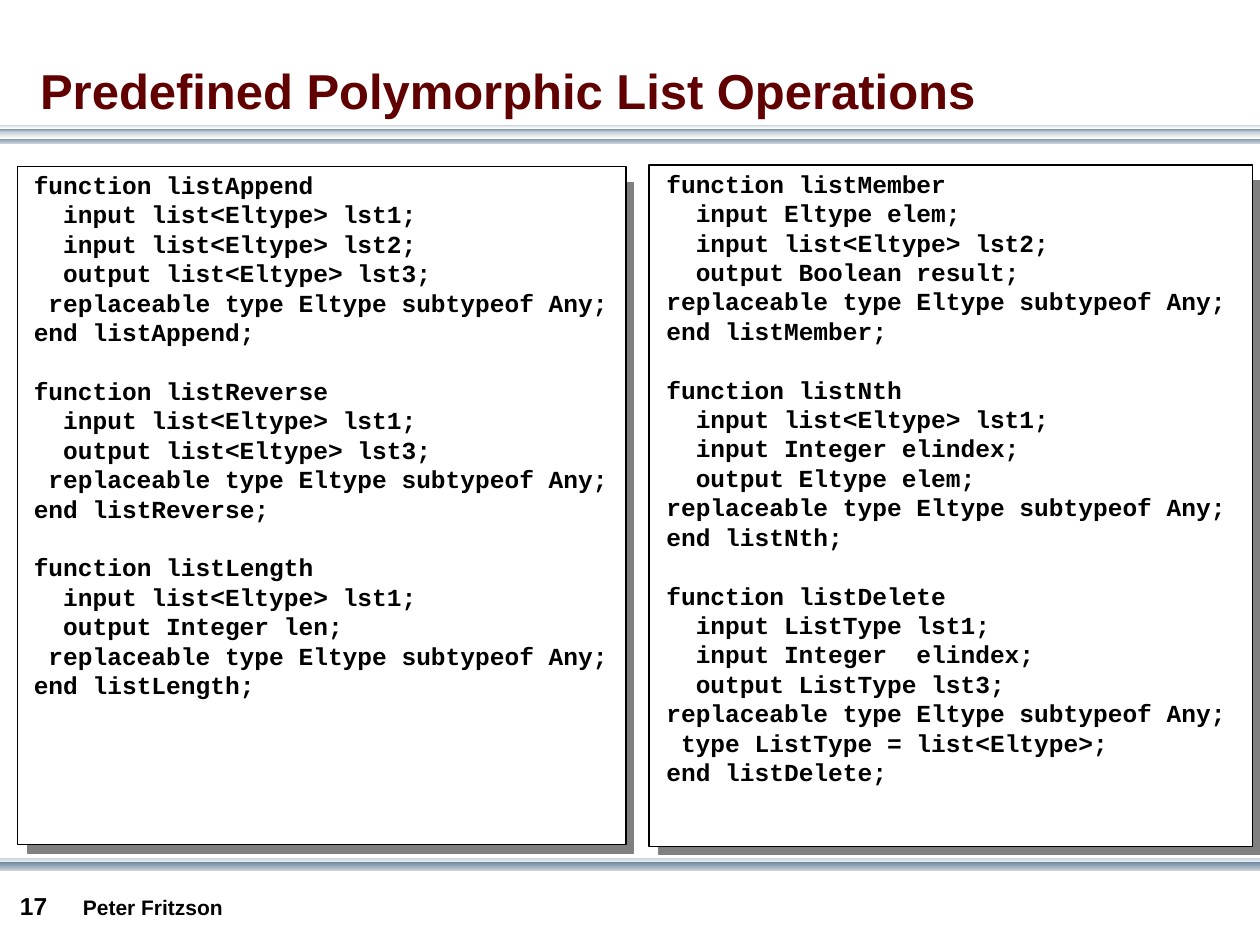
from pptx import Presentation
from pptx.dml.color import RGBColor
from pptx.enum.shapes import MSO_SHAPE
from pptx.enum.text import MSO_ANCHOR
from pptx.util import Inches, Pt

COLORS = {
    "black": "000000",
    "white": "FFFFFF",
    "maroon": "600000",
    "gray": "808080",
    "steel": "6A839C",
    "mist": "C8D1DA",
}
LINE_PITCH = 16.8
CHARACTER_WIDTH = 8.4

deck = Presentation()
deck.slide_width = Inches(10)
deck.slide_height = Inches(7.5)
page = deck.slides.add_slide(deck.slide_layouts[6])


def add_text(text, left, top, width, height, size=14, font="Arial", color="black",
             anchor=MSO_ANCHOR.TOP, wrap=True, code=False):
    box = page.shapes.add_textbox(Inches(left), Inches(top), Inches(width), Inches(height))
    frame = box.text_frame
    frame.word_wrap = wrap
    frame.vertical_anchor = anchor
    for number, line in enumerate(text.split("\n")):
        para = frame.add_paragraph() if number else frame.paragraphs[0]
        content = line.lstrip()
        if code:
            para.line_spacing = Pt(LINE_PITCH)
            indent = len(line) - len(content)
            properties = para._p.get_or_add_pPr()
            properties.set("marL", "0")
            properties.set("indent", str(Pt(indent * CHARACTER_WIDTH)))
            if number and content.startswith("function"):
                para.space_before = Pt(LINE_PITCH)
        span = para.add_run()
        span.text = content
        span.font.name = font
        span.font.size = Pt(size)
        span.font.bold = True
        span.font.color.rgb = RGBColor.from_string(COLORS[color])


def add_rectangle(left, top, width, height):
    box = page.shapes.add_shape(MSO_SHAPE.RECTANGLE, Inches(left), Inches(top),
                                Inches(width), Inches(height))
    box.shadow.inherit = False
    return box


bands = [
    (1.09, 0.05, "steel", "mist"),
    (1.02, 0.03, "steel", "mist"),
    (1.05, 0.05, "mist", "white"),
    (0.99, 0.03, "mist", "white"),
    (6.81, 0.05, "mist", "white"),
    (6.84, 0.07, "steel", "mist"),
]
for top, height, start, end in bands:
    band = add_rectangle(0, top, 10, height)
    band.line.fill.background()
    band.fill.gradient()
    band.fill.gradient_angle = 270
    for stop, position, color in zip(band.fill.gradient_stops, (0, 1), (start, end)):
        stop.position = position
        stop.color.rgb = RGBColor.from_string(COLORS[color])

add_text("Peter Fritzson", 0.56, 7.05, 1.36, 0.3, size=12, wrap=False)
add_text("17", 0.06, 7.02, 0.55, 0.34)
add_text("Predefined Polymorphic List Operations", 0.22, 0.43, 9.78, 0.57,
         size=28, color="maroon", anchor=MSO_ANCHOR.MIDDLE)

left_code = """function listAppend
  input list<Eltype> lst1;
  input list<Eltype> lst2;
  output list<Eltype> lst3;
 replaceable type Eltype subtypeof Any;
end listAppend;
function listReverse
  input list<Eltype> lst1;
  output list<Eltype> lst3;
 replaceable type Eltype subtypeof Any;
end listReverse;
function listLength
  input list<Eltype> lst1;
  output Integer len;
 replaceable type Eltype subtypeof Any;
end listLength;"""

right_code = """function listMember
  input Eltype elem;
  input list<Eltype> lst2;
  output Boolean result;
replaceable type Eltype subtypeof Any;
end listMember;
function listNth
  input list<Eltype> lst1;
  input Integer elindex;
  output Eltype elem;
replaceable type Eltype subtypeof Any;
end listNth;
function listDelete
  input ListType lst1;
  input Integer  elindex;
  output ListType lst3;
replaceable type Eltype subtypeof Any;
 type ListType = list<Eltype>;
end listDelete;"""

panels = [
    (left_code, (0.22, 1.45, 4.81, 5.32), (0.14, 1.32, 4.83, 5.38), (0.17, 1.3, 4.76, 5.01)),
    (right_code, (5.23, 1.43, 4.77, 5.35), (5.15, 1.31, 4.79, 5.41), (5.19, 1.29, 4.71, 5.24)),
]
for code, shade, card, area in panels:
    for place, fill, outline in ((shade, "gray", "gray"), (card, "white", "black")):
        panel = add_rectangle(*place)
        panel.fill.solid()
        panel.fill.fore_color.rgb = RGBColor.from_string(COLORS[fill])
        panel.line.color.rgb = RGBColor.from_string(COLORS[outline])
        panel.line.width = Pt(0.75)
    add_text(code, *area, font="Courier New", code=True)

deck.save("out.pptx")
